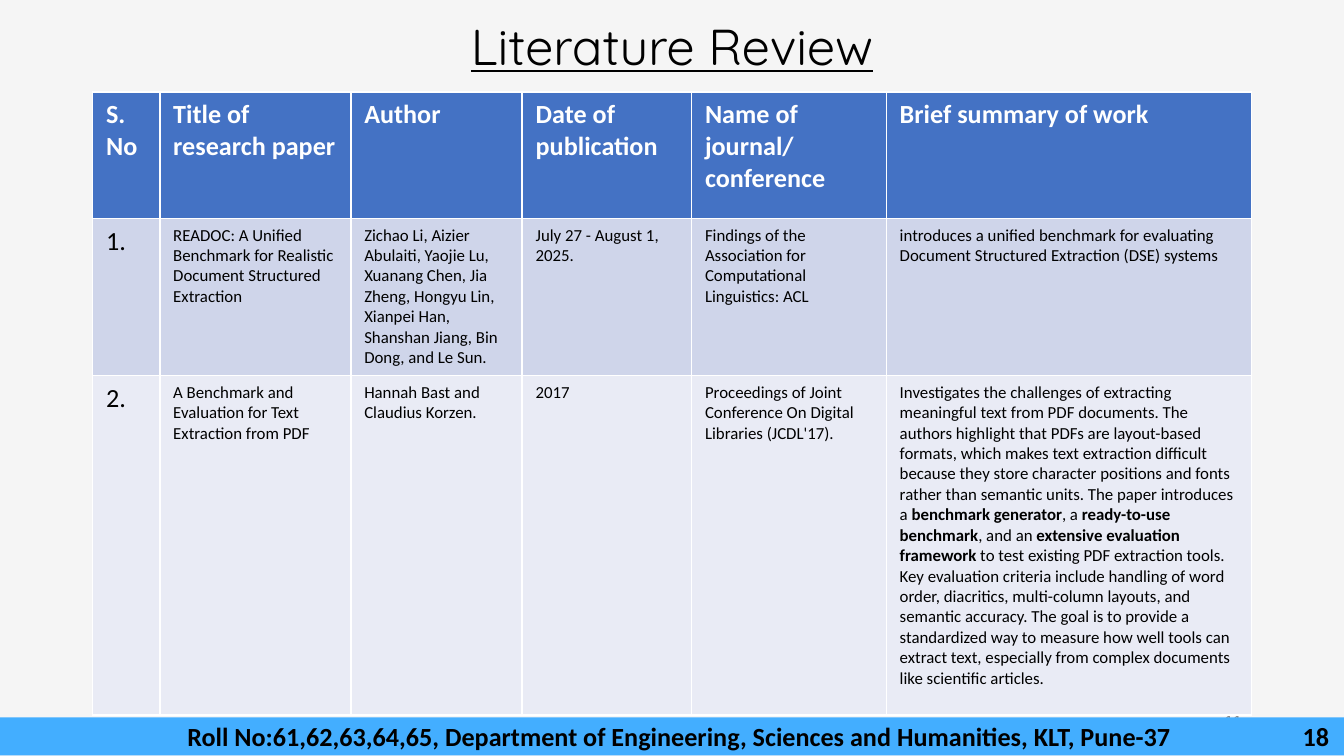
from pptx import Presentation
from pptx.dml.color import RGBColor
from pptx.enum.shapes import MSO_SHAPE as Shape
from pptx.enum.text import MSO_ANCHOR as Anchor, MSO_AUTO_SIZE as AutoSize, PP_ALIGN as Align
from pptx.oxml.ns import qn
from pptx.util import Cm, Pt
from lxml.etree import SubElement

COLUMN_WIDTHS = [1.27, 3.61, 3.24, 3.2, 3.68, 6.9]
ROW_HEIGHTS = [2.39, 2.97, 6.42]
ROW_FILLS = ["4472C4", "CFD5EA", "E9EBF5"]

HEADING = {"size": Pt(14), "name": "Calibri", "bold": True, "color": "FFFFFF"}
ENTRY_NUMBER = {"size": Pt(14), "name": "Calibri", "bold": False, "color": "000000"}
ENTRY = ENTRY_NUMBER | {"size": Pt(9)}
TITLE = {"size": Pt(27), "name": "Quicksand", "underline": True, "color": "000000"}
FOOTER = HEADING | {"color": "000000"}
PAGE_NUMBER = {"size": Pt(9), "name": "Calibri", "color": "8C8C8C"}

# Double asterisks enclose bold words.
REVIEW = [
    ["S.\nNo", "Title of research paper", "Author", "Date of publication",
     "Name of journal/\nconference", "Brief summary of work"],
    ["1.",
     "READOC: A Unified Benchmark for Realistic Document Structured Extraction",
     "Zichao Li, Aizier Abulaiti, Yaojie Lu, Xuanang Chen, Jia Zheng, Hongyu Lin, "
     "Xianpei Han, Shanshan Jiang, Bin Dong, and Le Sun.",
     "July 27 - August 1, 2025.",
     "Findings of the Association for Computational Linguistics: ACL",
     "introduces a unified benchmark for evaluating Document Structured Extraction (DSE) systems"],
    ["2.",
     "A Benchmark and Evaluation for Text Extraction from PDF",
     "Hannah Bast and Claudius Korzen.",
     "2017",
     "Proceedings of Joint Conference On Digital Libraries (JCDL'17).",
     "Investigates the challenges of extracting meaningful text from PDF documents. "
     "The authors highlight that PDFs are layout-based formats, which makes text extraction "
     "difficult because they store character positions and fonts rather than semantic units. "
     "The paper introduces a **benchmark generator**, a **ready-to-use benchmark**, and an "
     "**extensive evaluation framework** to test existing PDF extraction tools. Key evaluation "
     "criteria include handling of word order, diacritics, multi-column layouts, and semantic "
     "accuracy. The goal is to provide a standardized way to measure how well tools can extract "
     "text, especially from complex documents like scientific articles."],
]


def rgb(color):
    return RGBColor.from_string(color)


def paint(target, color):
    target.fill.solid()
    target.fill.fore_color.rgb = rgb(color)


def format_font(font, style):
    for name, value in style.items():
        if name == "color":
            font.color.rgb = rgb(value)
        else:
            setattr(font, name, value)


def write(frame, text, style, align=Align.LEFT):
    """Write one paragraph per line, with bold between double asterisks."""
    for index, line in enumerate(text.split("\n")):
        paragraph = frame.add_paragraph() if index else frame.paragraphs[0]
        paragraph.alignment = align
        for part, words in enumerate(line.split("**")):
            run = paragraph.add_run()
            run.text = words
            format_font(run.font, style | {"bold": True} if part % 2 else style)


def set_frame(frame, **settings):
    for name, value in settings.items():
        setattr(frame, name, value)


def add_right_tabs(paragraph, positions):
    tabs = SubElement(paragraph._p.get_or_add_pPr(), qn("a:tabLst"))
    for position in positions:
        SubElement(tabs, qn("a:tab"), pos=str(Cm(position)), algn="r")


def add_title(slide, text):
    title = slide.shapes.title
    title.left, title.top, title.width, title.height = Cm(1.75), Cm(-0.79), Cm(21.9), Cm(3.45)
    set_frame(title.text_frame, vertical_anchor=Anchor.MIDDLE, auto_size=AutoSize.NONE)
    write(title.text_frame, text, TITLE, Align.CENTER)
    title.text_frame.paragraphs[0].line_spacing = 0.9


def add_page_number(slide, number):
    box = slide.shapes.add_textbox(Cm(17.93), Cm(13.23), Cm(5.72), Cm(0.76))
    set_frame(box.text_frame, word_wrap=True, vertical_anchor=Anchor.MIDDLE,
              margin_left=Cm(0.19), margin_right=Cm(0.19),
              margin_top=Cm(0.1), margin_bottom=Cm(0.1))
    write(box.text_frame, number, PAGE_NUMBER, Align.RIGHT)


def add_footer(slide, affiliation, number):
    bar = slide.shapes.add_shape(Shape.RECTANGLE, 0, Cm(13.56), Cm(25.4), Cm(0.72))
    bar.shadow.inherit = False
    paint(bar, "43AEFF")
    bar.line.fill.background()
    set_frame(bar.text_frame, word_wrap=True, vertical_anchor=Anchor.MIDDLE)
    write(bar.text_frame, f"\t{affiliation}\t{number}", FOOTER)
    add_right_tabs(bar.text_frame.paragraphs[0], [21.9, 24.87])


def add_review_table(slide):
    table = slide.shapes.add_table(
        len(REVIEW), len(COLUMN_WIDTHS), Cm(1.75), Cm(1.74),
        Cm(sum(COLUMN_WIDTHS)), Cm(sum(ROW_HEIGHTS))).table
    for column, width in zip(table.columns, COLUMN_WIDTHS):
        column.width = Cm(width)
    for row_index, (row, height) in enumerate(zip(table.rows, ROW_HEIGHTS)):
        row.height = Cm(height)
        for column_index, cell in enumerate(row.cells):
            paint(cell, ROW_FILLS[row_index])
            if row_index == 0:
                style = HEADING
            else:
                style = ENTRY if column_index else ENTRY_NUMBER
            write(cell.text_frame, REVIEW[row_index][column_index], style)


def main():
    deck = Presentation()
    deck.slide_width, deck.slide_height = Cm(25.4), Cm(14.29)
    slide = deck.slides.add_slide(deck.slide_layouts[5])
    paint(slide.background, "F5F5F5")
    add_title(slide, "Literature Review")
    add_page_number(slide, "11")
    add_footer(slide, "Roll No:61,62,63,64,65, Department of Engineering, "
                      "Sciences and Humanities, KLT, Pune-37", "18")
    add_review_table(slide)
    deck.save("out.pptx")


if __name__ == "__main__":
    main()
